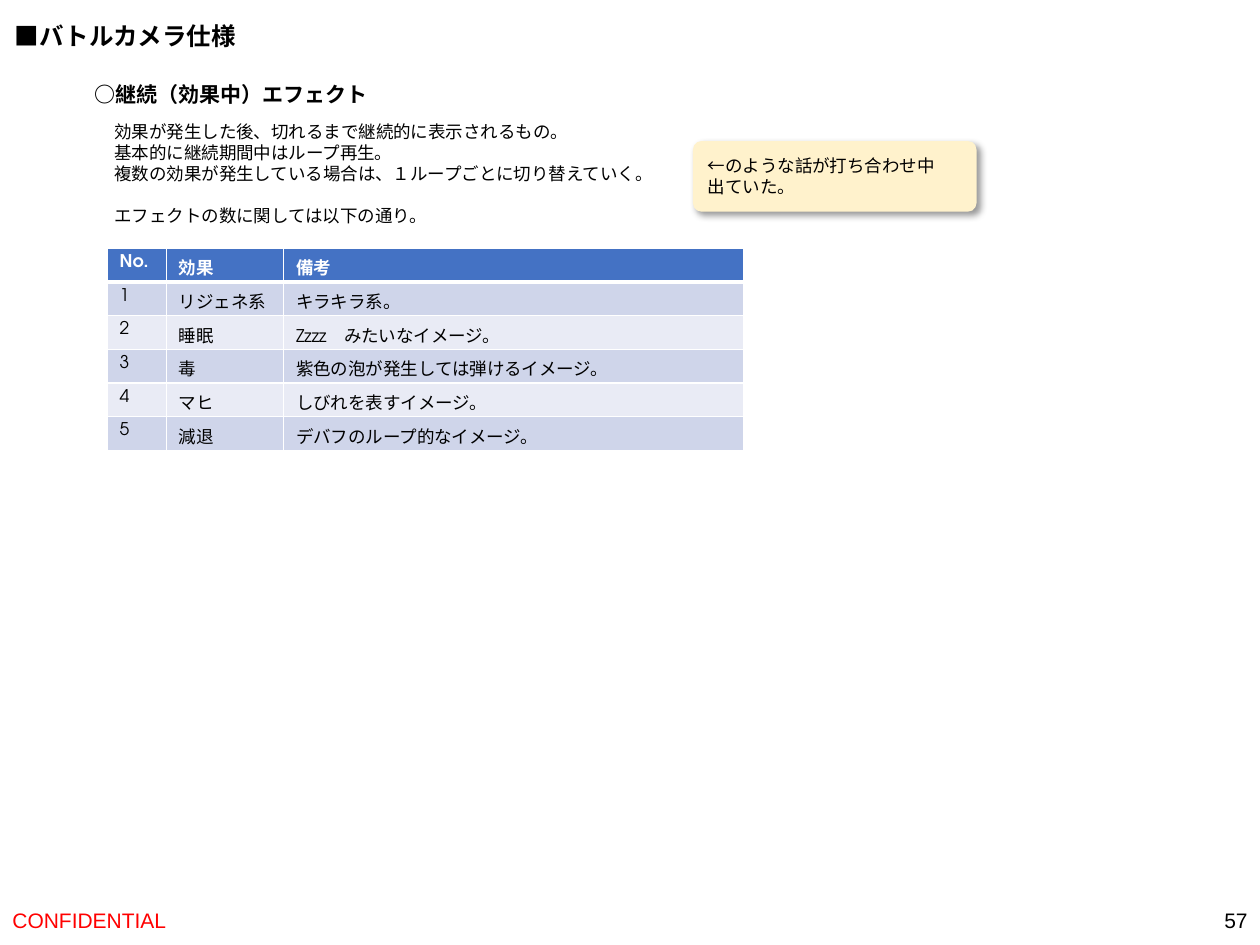
from lxml import etree
from pptx import Presentation
from pptx.dml.color import RGBColor
from pptx.enum import shapes, text
from pptx.oxml import parse_xml
from pptx.oxml.ns import nsdecls
from pptx.util import Inches, Pt

BLACK = RGBColor(0x00, 0x00, 0x00)
WHITE = RGBColor(0xFF, 0xFF, 0xFF)
RED = RGBColor(0xFF, 0x00, 0x00)
CREAM = RGBColor(0xFF, 0xF2, 0xCC)
HEADER_BLUE = RGBColor(0x44, 0x72, 0xC4)
BANDS = RGBColor(0xE9, 0xEB, 0xF5), RGBColor(0xCF, 0xD5, 0xEA)
BODY_FONT = "Arial"
GOTHIC_FONT = "TeX Gyre Adventor"

LEFT, RIGHT = text.PP_ALIGN.LEFT, text.PP_ALIGN.RIGHT
TOP, MIDDLE = text.MSO_ANCHOR.TOP, text.MSO_ANCHOR.MIDDLE

FOOTER = {"size": Pt(12), "name": BODY_FONT}
TITLE = {"size": Pt(14), "name": BODY_FONT, "bold": True}
HEADING = {"size": Pt(12), "name": GOTHIC_FONT, "bold": True}
BODY = {"size": Pt(10), "name": BODY_FONT}
CELL = {"size": Pt(10), "name": GOTHIC_FONT}

DESCRIPTION = [
    "効果が発生した後、切れるまで継続的に表示されるもの。",
    "基本的に継続期間中はループ再生。",
    "複数の効果が発生している場合は、１ループごとに切り替えていく。",
    "エフェクトの数に関しては以下の通り。",
]
MEETING_NOTE = ["←のような話が打ち合わせ中", "出ていた。"]
TEXTS = [
    (["CONFIDENTIAL"], (0, 7.1, 3.38, 0.4), FOOTER, RED, LEFT, MIDDLE, True),
    (["57"], (7.75, 7.1, 2.25, 0.4), FOOTER, BLACK, RIGHT, MIDDLE, True),
    (["■バトルカメラ仕様"], (0.02, 0.12, 1.97, 0.34), TITLE, BLACK, LEFT, TOP, False),
    (["○継続（効果中）エフェクト"], (0.65, 0.6, 2.39, 0.3), HEADING, BLACK, LEFT, TOP, False),
    (DESCRIPTION, (0.81, 0.91, 4.55, 0.94), BODY, BLACK, LEFT, TOP, False),
]
EFFECTS = [
    ("No.", "効果", "備考"),
    ("1", "リジェネ系", "キラキラ系。"),
    ("2", "睡眠", "Zzzz　みたいなイメージ。"),
    ("3", "毒", "紫色の泡が発生しては弾けるイメージ。"),
    ("4", "マヒ", "しびれを表すイメージ。"),
    ("5", "減退", "デバフのループ的なイメージ。"),
]
COLUMN_WIDTHS = [0.47, 0.93, 3.65]
TABLE_HEIGHT = 1.6


def write(frame, lines, style, color, align=LEFT):
    for index, line in enumerate(lines):
        paragraph = frame.add_paragraph() if index else frame.paragraphs[0]
        paragraph.alignment = align
        run = paragraph.add_run()
        run.text = line
        for key, value in style.items():
            setattr(run.font, key, value)
        run.font.color.rgb = color


def add_borders(cell, widths):
    properties = cell._tc.get_or_add_tcPr()
    for position, (side, width) in enumerate(widths.items()):
        properties.insert(position, parse_xml(
            f'<a:ln{side} {nsdecls("a")} w="{Pt(width)}"><a:solidFill>'
            f'<a:srgbClr val="{WHITE}"/></a:solidFill></a:ln{side}>'))


def add_soft_shadow(shape):
    shape.shadow.inherit = False
    effects = shape._element.spPr.find("{*}effectLst")
    effects.append(parse_xml(
        f'<a:outerShdw {nsdecls("a")} blurRad="{Pt(4)}" dist="{Pt(3)}" dir="{45 * 60000}" '
        'algn="tl" rotWithShape="0"><a:srgbClr val="000000"><a:alpha val="40000"/>'
        '</a:srgbClr></a:outerShdw>'))


def add_effect_table(slide):
    table = slide.shapes.add_table(
        len(EFFECTS), len(COLUMN_WIDTHS), Inches(0.85), Inches(1.97),
        Inches(sum(COLUMN_WIDTHS)), Inches(TABLE_HEIGHT)).table
    table.first_row = table.horz_banding = False
    for column, width in zip(table.columns, COLUMN_WIDTHS):
        column.width = Inches(width)
    for r, row in enumerate(EFFECTS):
        table.rows[r].height = Inches(TABLE_HEIGHT / len(EFFECTS))
        header = r == 0
        for c, value in enumerate(row):
            cell = table.cell(r, c)
            cell.fill.solid()
            cell.fill.fore_color.rgb = HEADER_BLUE if header else BANDS[r % 2]
            add_borders(cell, {"L": 1, "R": 1, "T": 3 if r == 1 else 1, "B": 3 if header else 1})
            write(cell.text_frame, [value], CELL | {"bold": header}, WHITE if header else BLACK)


def main():
    deck = Presentation()
    deck.slide_width, deck.slide_height = Inches(10), Inches(7.5)
    slide = deck.slides.add_slide(deck.slide_layouts[6])

    for lines, place, style, color, align, anchor, wrap in TEXTS:
        frame = slide.shapes.add_textbox(*map(Inches, place)).text_frame
        frame.word_wrap = wrap
        frame.vertical_anchor = anchor
        write(frame, lines, style, color, align)
        if lines is DESCRIPTION:
            frame.paragraphs[-1].space_before = Pt(12)

    note = slide.shapes.add_shape(
        shapes.MSO_SHAPE.ROUNDED_RECTANGLE, *map(Inches, (5.5, 1.12, 2.25, 0.56)))
    note.adjustments[0] = 0.12
    note.fill.solid()
    note.fill.fore_color.rgb = CREAM
    note.line.fill.background()
    add_soft_shadow(note)
    note.text_frame.vertical_anchor = MIDDLE
    write(note.text_frame, MEETING_NOTE, BODY, BLACK)

    add_effect_table(slide)
    deck.save("out.pptx")


if __name__ == "__main__":
    main()
